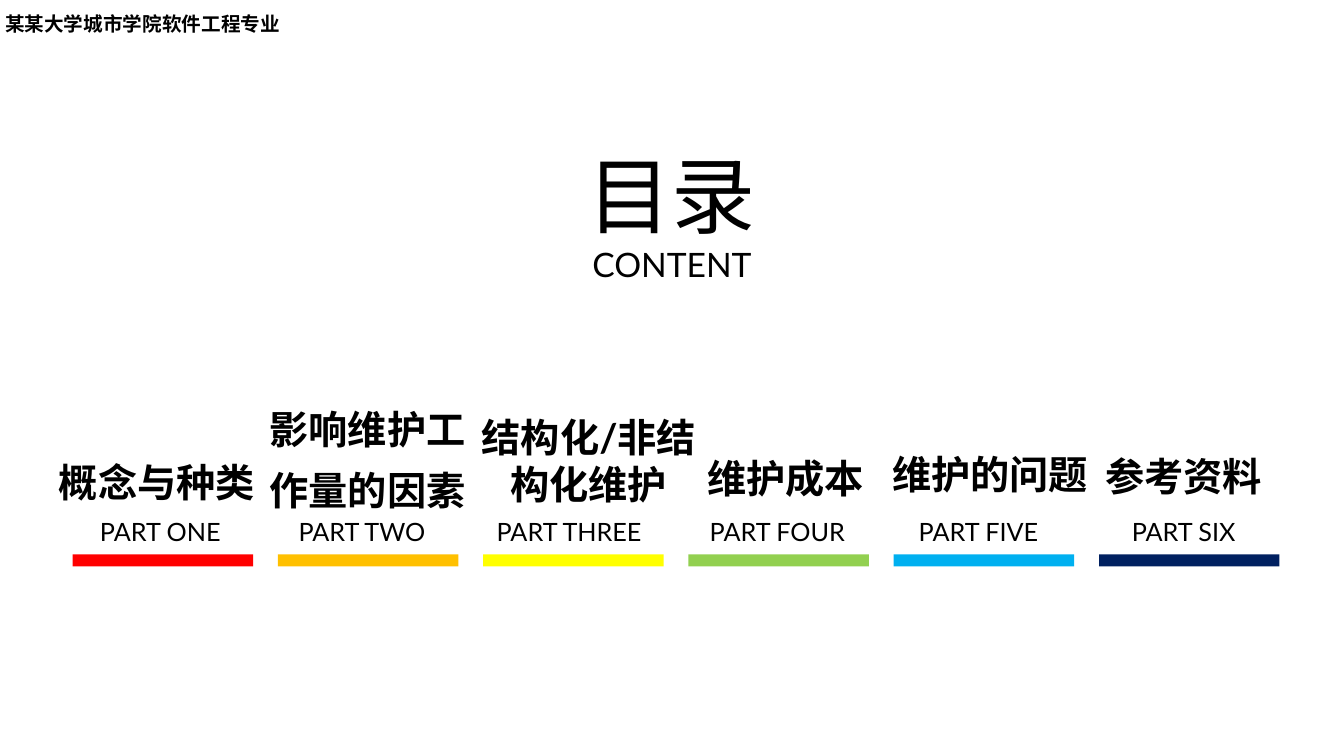
from pptx import Presentation
from pptx.dml.color import RGBColor
from pptx.enum.shapes import MSO_SHAPE
from pptx.enum.text import MSO_AUTO_SIZE, PP_ALIGN
from pptx.oxml.ns import qn
from pptx.util import Inches, Pt
from lxml.etree import SubElement

COLORS = {
    "text": "000000", "one": "FF0000", "two": "FFC000", "three": "FFFF00",
    "four": "92D050", "five": "00B0F0", "six": "002060",
}
LATIN, HAN = "Lato", "Noto Sans CJK SC"

deck = Presentation()
deck.slide_width, deck.slide_height = Inches(13.33), Inches(7.5)
slide = deck.slides.add_slide(deck.slide_layouts[6])


def add_text(box, lines, align=PP_ALIGN.CENTER, spacing=None, wrap=True):
    """Place lines of (text, size, font, bold), one paragraph each."""
    frame = slide.shapes.add_textbox(*map(Inches, box)).text_frame
    frame.word_wrap = wrap
    frame.auto_size = MSO_AUTO_SIZE.SHAPE_TO_FIT_TEXT
    frame.margin_left = frame.margin_right = Inches(0.05)
    frame.margin_top = frame.margin_bottom = Inches(0.05)
    for index, (text, size, font, bold) in enumerate(lines):
        paragraph = frame.add_paragraph() if index else frame.paragraphs[0]
        paragraph.alignment = align
        paragraph.line_spacing = spacing
        run = paragraph.add_run()
        run.text = text
        run.font.name, run.font.size, run.font.bold = font, Pt(size), bold
        run.font.color.rgb = RGBColor.from_string(COLORS["text"])
        SubElement(run.font._element, qn("a:ea"), typeface=HAN)


# Heading
add_text((5.63, 1.37, 2.07, 1.67),
         [("目录", 60, HAN, False), ("CONTENT", 24, LATIN, False)], wrap=False)

# Six parts: topic, its box and line spacing, then the label's left and width
parts = [
    ("one", "概念与种类", (0.51, 4.36, 2.09, 0.65), 1.3, 0.79, 1.6),
    ("two", "影响维护工作量的因素", (2.6, 3.83, 2.09, 1.33), 1.3, 2.72, 1.74),
    ("three", "结构化/非结构化维护", (4.62, 4.05, 2.44, 1.04), None, 4.71, 1.87),
    ("four", "维护成本", (6.83, 4.46, 1.92, 0.57), None, 6.94, 1.54),
    ("five", "维护的问题", (8.74, 4.42, 2.16, 0.57), None, 9.04, 1.33),
    ("six", "参考资料", (10.78, 4.44, 1.92, 0.57), None, 11.07, 1.34),
]
FIRST_BAR, BAR_STEP = 0.72, 2.036

for column, (number, topic, topic_box, spacing, label_left, label_width) in enumerate(parts):
    add_text((label_left, 4.98, label_width, 0.41),
             [(f"PART {number.upper()}", 18, LATIN, False)], spacing=1.3)
    add_text(topic_box, [(topic, 28, LATIN, True)], spacing=spacing)

    # Coloured bar under the part
    bar = slide.shapes.add_shape(
        MSO_SHAPE.RECTANGLE, Inches(FIRST_BAR + column * BAR_STEP), Inches(5.5),
        Inches(1.79), Inches(0.12))
    bar.shadow.inherit = False
    bar.fill.solid()
    bar.fill.fore_color.rgb = RGBColor.from_string(COLORS[number])
    bar.line.fill.background()

# Department in the top corner
add_text((0, 0.07, 2.85, 0.34), [("某某大学城市学院软件工程专业", 14, HAN, True)],
         align=PP_ALIGN.LEFT, wrap=False)

deck.save("out.pptx")
